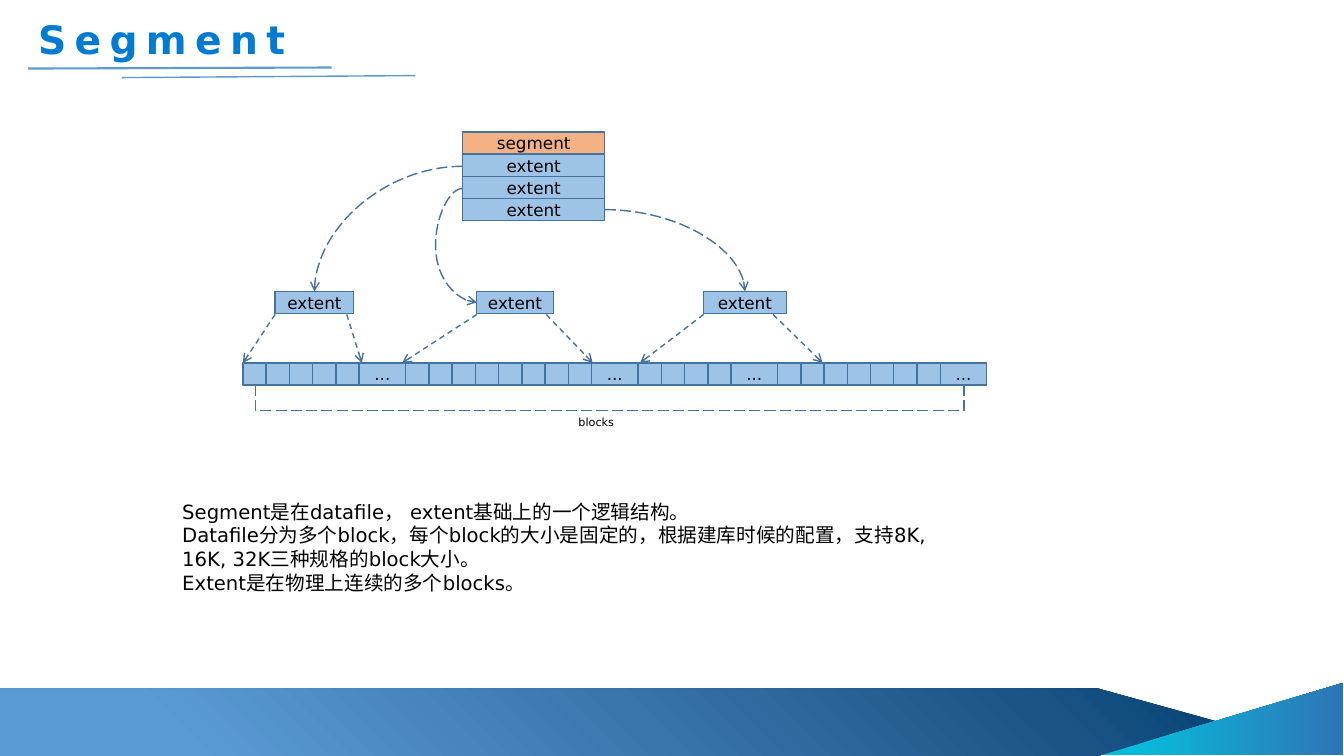
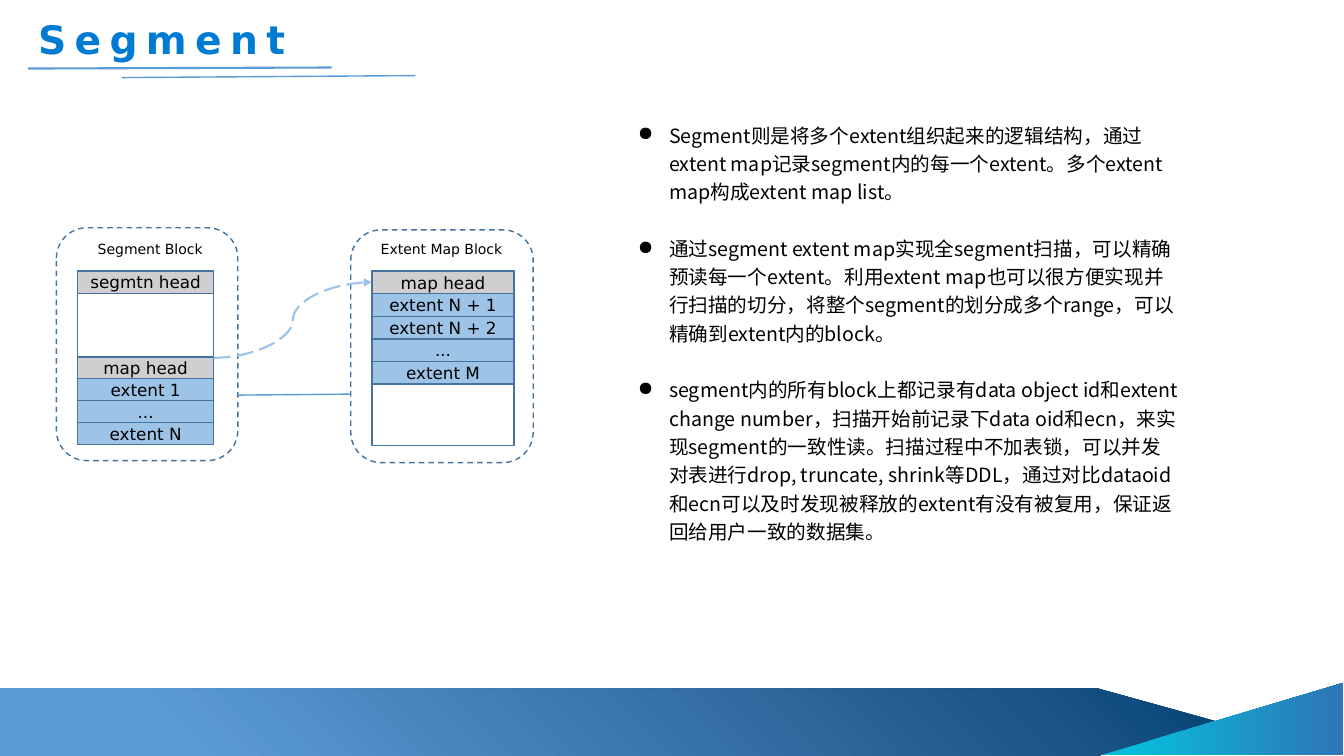
from dataclasses import dataclass

from lxml.etree import SubElement
from pptx import Presentation
from pptx.dml.color import RGBColor
from pptx.enum.dml import MSO_LINE
from pptx.enum.shapes import MSO_CONNECTOR, MSO_SHAPE
from pptx.enum.text import MSO_ANCHOR, PP_ALIGN
from pptx.oxml.ns import qn
from pptx.oxml.xmlchemy import OxmlElement
from pptx.util import Inches, Pt


@dataclass(frozen=True)
class Theme:
    cell: int = Inches(0.1)
    columns: float = 133.33
    rows: float = 75
    latin: str = "DejaVu Sans"
    reading: str = "Noto Sans CJK SC"
    title: str = "007BD3"
    rule: str = "5B9BD5"
    edge: str = "43739E"
    block: str = "9DC3E6"
    segment: str = "F4B183"
    head: str = "D0CECE"
    paper: str = "FFFFFF"
    ink: str = "000000"
    band: tuple = ((15, "5B9BD5"), (84, "1D5487"), (100, "034373"))
    corner: tuple = ((15, "09BBDB"), (100, "2E75B6"))
    title_size: int = 28
    body_size: int = 14
    label_size: int = 12
    caption_size: int = 10
    note_size: int = 8
    leading: float = 20.2
    indent: float = 3.1


class SlideBuilder:
    def __init__(self, theme):
        self.theme = theme
        self.deck = Presentation()
        self.deck.slide_width = self.grid(theme.columns)
        self.deck.slide_height = self.grid(theme.rows)
        self.page = None

    def grid(self, count):
        return round(count * self.theme.cell)

    def place(self, *counts):
        return [self.grid(count) for count in counts]

    def start(self, title):
        theme = self.theme
        self.page = self.deck.slides.add_slide(self.deck.slide_layouts[6])
        band = self.shape((0, 68.3, 121, 6.7), MSO_SHAPE.PENTAGON, edge=None)
        band.adjustments[0] = 1.81
        self.gradient(band, theme.band)
        corner = self.shape((117.6, 59.3, 7.2, 24.1), MSO_SHAPE.RIGHT_TRIANGLE, edge=None)
        corner.rotation = 270
        self.gradient(corner, theme.corner, angle=90)
        box = self.text((2.8, 1, 40, 5.7), [title], theme.title_size,
                        color=theme.title, bold=True, spacing=6)
        box.text_frame.vertical_anchor = MSO_ANCHOR.MIDDLE
        self.connector((2.8, 6.8), (32.9, 6.7), color=theme.rule, width=1.5)
        self.connector((12.1, 7.7), (41.2, 7.5), color=theme.rule)

    def gradient(self, shape, stops, angle=None):
        shape.fill.background()
        blend = OxmlElement("a:gradFill")
        blend.set("rotWithShape", "1")
        stop_list = SubElement(blend, qn("a:gsLst"))
        for position, color in stops:
            stop = SubElement(stop_list, qn("a:gs"), pos=str(position * 1000))
            SubElement(stop, qn("a:srgbClr"), val=color)
        if angle is None:
            circle = SubElement(blend, qn("a:path"))
            circle.set("path", "circle")
            SubElement(circle, qn("a:fillToRect"), t="100000", r="100000")
        else:
            SubElement(blend, qn("a:lin"), ang=str(angle * 60000), scaled="0")
        properties = shape.element.spPr
        properties.replace(properties.find(qn("a:noFill")), blend)

    def add_span(self, para, text, size, color=None, font=None, bold=False, spacing=0):
        span = para.add_run()
        span.text = text
        span.font.size = Pt(size)
        span.font.bold = bold
        span.font.name = font or self.theme.latin
        span.font.color.rgb = RGBColor.from_string(color or self.theme.ink)
        properties = span.font._element
        SubElement(properties, qn("a:ea"), typeface=font or self.theme.latin)
        if spacing:
            properties.set("spc", str(spacing * 100))

    def shape(self, frame, kind=MSO_SHAPE.RECTANGLE, fill=None, edge="edge", text="", dash=None):
        theme = self.theme
        shape = self.page.shapes.add_shape(kind, *self.place(*frame))
        shape.shadow.inherit = False
        if fill:
            shape.fill.solid()
            shape.fill.fore_color.rgb = RGBColor.from_string(fill)
        if edge:
            self.outline(shape.line, theme.edge, 1, dash)
        else:
            shape.line.fill.background()
        if text:
            shape.text_frame.vertical_anchor = MSO_ANCHOR.MIDDLE
            para = shape.text_frame.paragraphs[0]
            para.alignment = PP_ALIGN.CENTER
            self.add_span(para, text, theme.label_size)
        return shape

    def outline(self, line, color, width, dash):
        line.color.rgb = RGBColor.from_string(color)
        line.width = Pt(width)
        if dash:
            line.dash_style = dash

    def stack(self, frame, cells):
        left, top, width, height = frame
        step = height / len(cells)
        for index, (text, fill) in enumerate(cells):
            self.shape((left, top + index * step, width, step), fill=fill, text=text)

    def strip(self, frame, spans):
        left, top, width, height = frame
        unit = width / sum(spans)
        for span in spans:
            label = "..." if span > 1 else ""
            self.shape((left, top, span * unit, height), fill=self.theme.block, text=label)
            left += span * unit

    def text(self, frame, lines, size, align=PP_ALIGN.LEFT, **style):
        box = self.page.shapes.add_textbox(*self.place(*frame))
        box.text_frame.word_wrap = True
        for index, line in enumerate(lines):
            para = box.text_frame.paragraphs[0] if index == 0 else box.text_frame.add_paragraph()
            para.alignment = align
            self.add_span(para, line, size, **style)
        return box

    def bullets(self, frame, lines):
        theme = self.theme
        box = self.text(frame, lines, theme.body_size, font=theme.reading)
        for index, para in enumerate(box.text_frame.paragraphs):
            para.line_spacing = Pt(theme.leading)
            if index:
                para.space_before = Pt(theme.leading)
            properties = para._p.get_or_add_pPr()
            properties.set("marL", str(self.grid(theme.indent)))
            properties.set("indent", str(-self.grid(theme.indent)))
            SubElement(properties, qn("a:buChar"), char="●")

    def connector(self, start, end, kind=MSO_CONNECTOR.STRAIGHT, color=None,
                  width=1, dash=None, arrow=None, preset=None, bend=None):
        link = self.page.shapes.add_connector(kind, *self.place(*start, *end))
        self.outline(link.line, color or self.theme.edge, width, dash)
        properties = link.element.spPr
        if arrow:
            SubElement(properties.find(qn("a:ln")), qn("a:tailEnd"), type=arrow)
        SubElement(properties, qn("a:effectLst"))
        geometry = properties.find(qn("a:prstGeom"))
        if preset:
            geometry.set("prst", preset)
        if bend is not None:
            guides = geometry.find(qn("a:avLst"))
            if guides is None:
                guides = SubElement(geometry, qn("a:avLst"))
            SubElement(guides, qn("a:gd"), name="adj1", fmla=f"val {round(bend * 100000)}")
        return link

    def bracket(self, left, right, top, depth):
        span, sliver = right - left, 0.1
        middle = (left + right) / 2
        link = self.connector((middle, top - span / 2), (middle + sliver, top + span / 2),
                              MSO_CONNECTOR.ELBOW, dash=MSO_LINE.LONG_DASH,
                              bend=depth / sliver)
        transform = link.element.spPr.find(qn("a:xfrm"))
        transform.set("rot", str(90 * 60000))
        transform.set("flipV", "1")


def segment_layout(builder):
    theme = builder.theme
    builder.start("Segment")
    builder.stack((45.9, 13.1, 14.1, 8.8),
                  [("segment", theme.segment)] + [("extent", theme.block)] * 3)
    for left, width in ((27.3, 7.8), (47.3, 7.6), (69.8, 8.2)):
        builder.shape((left, 28.9, width, 2.2), fill=theme.block, text="extent")
    builder.strip((24.1, 36, 73.8, 2.2),
                  [1] * 5 + [2] + [1] * 8 + [2] + [1] * 4 + [2] + [1] * 7 + [2])
    builder.bracket(25.3, 95.6, 38.2, 2.6)
    builder.text((56.4, 40.7, 5.7, 2.3), ["blocks"], theme.note_size)
    for start, end in ((27.3, 24.1), (34.4, 35.9), (47.3, 39.9),
                       (54.2, 58.8), (69.8, 63.5), (76.7, 81.6)):
        builder.connector((start, 31.2), (end, 36), dash=MSO_LINE.DASH, arrow="arrow")
    for start, end, preset, bend in (
            ((45.9, 16.5), (31.2, 28.9), "curvedConnector2", None),
            ((45.9, 18.7), (47.3, 30), "curvedConnector3", -1.92),
            ((60, 20.8), (73.9, 28.9), "curvedConnector2", None)):
        builder.connector(start, end, MSO_CONNECTOR.CURVE, dash=MSO_LINE.LONG_DASH,
                          arrow="arrow", preset=preset, bend=bend)
    builder.text((17.1, 49.1, 76.3, 10.4), [
        "Segment是在datafile， extent基础上的一个逻辑结构。",
        "Datafile分为多个block，每个block的大小是固定的，根据建库时候的配置，支持8K, 16K, 32K三种规格的block大小。",
        "Extent是在物理上连续的多个blocks。",
    ], theme.body_size)


def extent_map(builder):
    theme = builder.theme
    builder.start("Segment")
    for frame, body, caption, caption_left in (
            ((5.6, 22.6, 18, 23.1), (7.7, 26.9, 13.5, 17.2), "Segment Block", 7.7),
            ((34.8, 22.8, 18.1, 23.1), (36.9, 26.9, 14.1, 17.3), "Extent Map Block", 36.6)):
        builder.shape(frame, MSO_SHAPE.ROUNDED_RECTANGLE, theme.paper, dash=MSO_LINE.DASH)
        builder.shape(body, fill=theme.paper)
        builder.text((caption_left, 23.4, 14.4, 2.7), [caption], theme.caption_size,
                     PP_ALIGN.CENTER)
    builder.connector((23.6, 39.2), (34.8, 39.1), color=theme.rule)
    builder.stack((7.7, 26.9, 13.5, 2.2), [("segmtn head", theme.head)])
    for frame, extents in (
            ((7.7, 35.4, 13.5, 8.7), ("extent 1", "...", "extent N")),
            ((36.9, 26.9, 14.1, 11.2), ("extent N + 1", "extent N + 2", "...", "extent M"))):
        builder.stack(frame, [("map head", theme.head)]
                      + [(extent, theme.block) for extent in extents])
    builder.connector((21.2, 35.5), (36.9, 28), MSO_CONNECTOR.CURVE, theme.block, 1.5,
                      MSO_LINE.LONG_DASH, "triangle", bend=0.5)
    builder.bullets((62.3, 11.3, 55.6, 43.4), [
        "Segment则是将多个extent组织起来的逻辑结构，通过extent map记录segment内的每一个extent。多个extent map构成extent map list。",
        "通过segment extent map实现全segment扫描，可以精确预读每一个extent。利用extent map也可以很方便实现并行扫描的切分，将整个segment的划分成多个range，可以精确到extent内的block。",
        "segment内的所有block上都记录有data object id和extent change number，扫描开始前记录下data oid和ecn，来实现segment的一致性读。扫描过程中不加表锁，可以并发对表进行drop, truncate, shrink等DDL，通过对比dataoid和ecn可以及时发现被释放的extent有没有被复用，保证返回给用户一致的数据集。",
    ])


def main():
    builder = SlideBuilder(Theme())
    segment_layout(builder)
    extent_map(builder)
    builder.deck.save("out.pptx")


if __name__ == "__main__":
    main()
